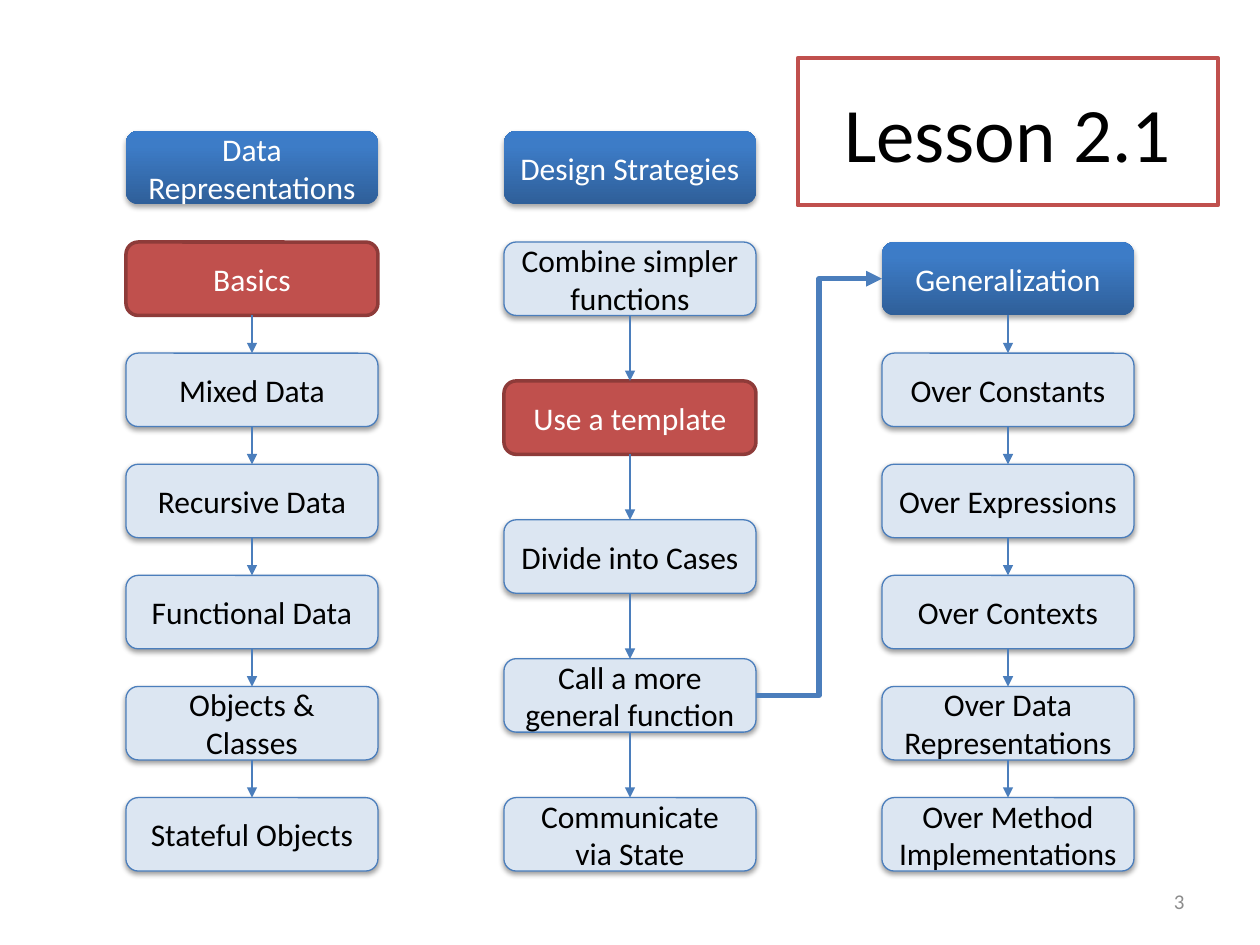
import copy

import pptx
import pptx.dml.color
import pptx.enum.shapes
import pptx.enum.text
import pptx.oxml
import pptx.oxml.ns
import pptx.util
from pptx.util import Cm, Pt

COLORS = {
    "blue": "4B7EBC", "pale": "DCE6F2", "red": "C0504D", "dark red": "8E3B39",
    "white": "FFFFFF", "black": "000000", "gray": "8C8C8C",
}
GRADIENT = [(0, "2F5F99"), (0.8, "3D7CC7"), (1, "3A7CCB")]
# kind: fill, line, line width, text, shadow opacity in percent, shadow distance
STYLES = {
    "heading": (None, None, 0, "white", 35, 1.8),
    "topic": ("pale", "blue", 0.75, "black", 38, 1.6),
    "current": ("red", "dark red", 2, "white", None, None),
}
BOX_WIDTH, BOX_HEIGHT = Cm(5.08), Cm(1.48)
ROW_PITCH, COLUMN_PITCH = Cm(2.24), Cm(7.62)
LEFT, TOP = Cm(2.54), Cm(2.64)


def rgb(value):
    return pptx.dml.color.RGBColor.from_string(value)


def parse_drawing(xml):
    return pptx.oxml.parse_xml(xml.replace(" ", f' {pptx.oxml.ns.nsdecls("a")} ', 1))


def write_text(shape, text, size, color, alignment):
    frame = shape.text_frame
    frame.word_wrap = True
    frame.auto_size = pptx.enum.text.MSO_AUTO_SIZE.NONE
    frame.vertical_anchor = pptx.enum.text.MSO_ANCHOR.MIDDLE
    paragraph = frame.paragraphs[0]
    paragraph.alignment = alignment
    run = paragraph.add_run()
    run.text = text
    run.font.name = "Calibri"
    run.font.size = Pt(size)
    run.font.color.rgb = rgb(COLORS[color])


def fill_gradient(shape):
    shape.fill.gradient()
    shape.fill.gradient_angle = 90
    stop_list = shape.element.spPr.find(".//" + pptx.oxml.ns.qn("a:gsLst"))
    stop_list.append(copy.deepcopy(stop_list[-1]))
    for stop, (position, color) in zip(shape.fill.gradient_stops, GRADIENT):
        stop.position = position
        stop.color.rgb = rgb(color)


def add_shadow(shape, opacity, distance):
    effects = shape.element.spPr.find(pptx.oxml.ns.qn("a:effectLst"))
    effects.append(parse_drawing(
        f'<a:outerShdw blurRad="{Pt(3.1)}" dist="{Pt(distance)}" dir="5400000" rotWithShape="0">'
        f'<a:srgbClr val="000000"><a:alpha val="{opacity * 1000}"/></a:srgbClr></a:outerShdw>'))


def add_box(slide, left, top, text, kind):
    fill, line, line_width, text_color, opacity, distance = STYLES[kind]
    shape = slide.shapes.add_shape(
        pptx.enum.shapes.MSO_SHAPE.ROUNDED_RECTANGLE, left, top, BOX_WIDTH, BOX_HEIGHT)
    shape.shadow.inherit = False
    if fill:
        shape.fill.solid()
        shape.fill.fore_color.rgb = rgb(COLORS[fill])
        shape.line.color.rgb = rgb(COLORS[line])
        shape.line.width = Pt(line_width)
    else:
        fill_gradient(shape)
        shape.line.fill.background()
    if opacity:
        add_shadow(shape, opacity, distance)
    write_text(shape, text, 18, text_color, pptx.enum.text.PP_ALIGN.CENTER)
    return shape


def add_arrow(slide, kind, start, start_side, end, end_side, width):
    connector = slide.shapes.add_connector(kind, 0, 0, 0, 0)
    connector.begin_connect(start, start_side)
    connector.end_connect(end, end_side)
    connector.line.color.rgb = rgb(COLORS["blue"])
    connector.line.width = Pt(width)
    properties = connector.element.spPr
    properties.find(pptx.oxml.ns.qn("a:ln")).append(parse_drawing('<a:tailEnd type="triangle"/>'))
    properties.append(parse_drawing("<a:effectLst />"))


def add_chain(slide, left, top, pitch, entries):
    """Stack the boxes at an equal pitch and link each to the next."""
    boxes = [add_box(slide, left, top + index * pitch, text, kind)
             for index, (text, kind) in enumerate(entries)]
    for upper, lower in zip(boxes, boxes[1:]):
        add_arrow(slide, pptx.enum.shapes.MSO_CONNECTOR.STRAIGHT, upper, 2, lower, 0, 0.75)
    return boxes


def add_lesson_title(slide, left, top, width, height):
    title = slide.shapes.title
    title.left, title.top, title.width, title.height = left, top, width, height
    title.element.spPr.append(parse_drawing('<a:prstGeom prst="roundRect"><a:avLst/></a:prstGeom>'))
    title.line.color.rgb = rgb(COLORS["red"])
    title.line.width = Pt(2.25)
    write_text(title, "Lesson 2.1", 44, "black", pptx.enum.text.PP_ALIGN.CENTER)


def add_slide_number(slide, left, top, width, height):
    box = slide.shapes.add_textbox(left, top, width, height)
    write_text(box, "3", 12, "gray", pptx.enum.text.PP_ALIGN.RIGHT)


def add_course_map(slide, left, top):
    design_left, general_left = left + COLUMN_PITCH, left + 2 * COLUMN_PITCH
    chain_top = top + ROW_PITCH
    add_box(slide, left, top, "Data Representations", "heading")
    add_chain(slide, left, chain_top, ROW_PITCH, [
        ("Basics", "current"),
        ("Mixed Data", "topic"),
        ("Recursive Data", "topic"),
        ("Functional Data", "topic"),
        ("Objects & Classes", "topic"),
        ("Stateful Objects", "topic"),
    ])
    add_box(slide, design_left, top, "Design Strategies", "heading")
    strategies = add_chain(slide, design_left, chain_top, ROW_PITCH * 5 // 4, [
        ("Combine simpler functions", "topic"),
        ("Use a template", "current"),
        ("Divide into Cases", "topic"),
        ("Call a more general function", "topic"),
        ("Communicate via State", "topic"),
    ])
    generalizations = add_chain(slide, general_left, chain_top, ROW_PITCH, [
        ("Generalization", "heading"),
        ("Over Constants", "topic"),
        ("Over Expressions", "topic"),
        ("Over Contexts", "topic"),
        ("Over Data Representations", "topic"),
        ("Over Method Implementations", "topic"),
    ])
    add_arrow(slide, pptx.enum.shapes.MSO_CONNECTOR.ELBOW,
              strategies[3], 3, generalizations[0], 1, 3)


def main():
    presentation = pptx.Presentation()
    presentation.slide_width, presentation.slide_height = Cm(25.4), Cm(19.05)
    slide = presentation.slides.add_slide(presentation.slide_layouts.get_by_name("Title Only"))
    add_lesson_title(slide, Cm(16.08), Cm(1.17), Cm(8.47), Cm(2.97))
    add_course_map(slide, LEFT, TOP)
    add_slide_number(slide, Cm(18.2), Cm(17.65), Cm(5.93), Cm(1.02))
    presentation.save("out.pptx")


if __name__ == "__main__":
    main()
